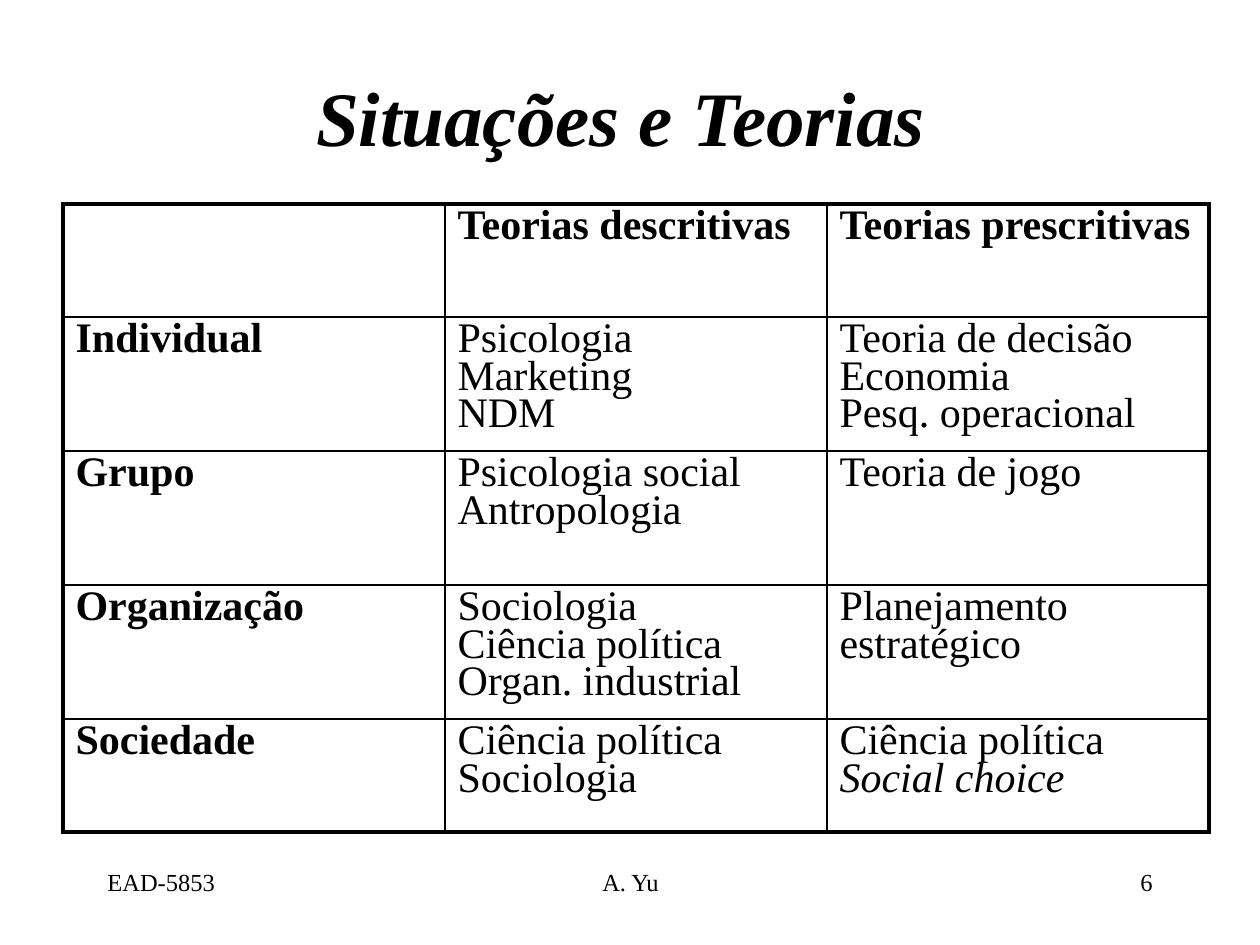
import pptx
import pptx.util
import pptx.dml.color
import pptx.enum.text
import pptx.oxml

Pt = pptx.util.Pt
ALIGN = pptx.enum.text.PP_ALIGN
ANCHOR = pptx.enum.text.MSO_ANCHOR
INK = "000000"
NS = "http://schemas.openxmlformats.org/drawingml/2006/main"


def px(n):
    """Turn pixels, 126 to the inch, into EMU."""
    return pptx.util.Emu(round(n * 914400 / 126))


def style(font, size, bold=False, italic=False):
    font.name = "Times New Roman"
    font.size = Pt(size)
    font.bold = bold
    font.italic = italic
    font.color.rgb = pptx.dml.color.RGBColor.from_string(INK)


deck = pptx.Presentation()
deck.slide_width, deck.slide_height = px(1260), px(945)
slide = deck.slides.add_slide(deck.slide_layouts[5])

# Title
title = slide.shapes.title
title.left, title.top, title.width, title.height = px(95), px(37), px(1071), px(158)
frame = title.text_frame
frame.text = "Situações e Teorias "
frame.vertical_anchor = ANCHOR.MIDDLE
frame.paragraphs[0].alignment = ALIGN.CENTER
style(frame.paragraphs[0].runs[0].font, 44, True, True)

# Footer
for text, left, width, align in [
    ("EAD-5853", 95, 262, ALIGN.LEFT),
    ("A. Yu", 431, 399, ALIGN.CENTER),
    ("6", 903, 262, ALIGN.RIGHT),
]:
    box = slide.shapes.add_textbox(px(left), px(861), px(width), px(63))
    frame = box.text_frame
    frame.word_wrap = True
    frame.text = text
    frame.paragraphs[0].alignment = align
    style(frame.paragraphs[0].runs[0].font, 14)

# Table: a newline parts the paragraphs of a cell
rows = [
    ["", "Teorias descritivas", "Teorias prescritivas"],
    ["Individual", "Psicologia\nMarketing\nNDM",
     "Teoria de decisão\nEconomia\nPesq. operacional"],
    ["Grupo", "Psicologia social\nAntropologia", "Teoria de jogo"],
    ["Organização", "Sociologia\nCiência política\nOrgan. industrial",
     "Planejamento estratégico"],
    ["Sociedade", "Ciência política\nSociologia", "Ciência política\nSocial choice"],
]
highs = [113, 134, 134, 134, 113]
wide = 382
last_row, last_col = len(rows) - 1, len(rows[0]) - 1

holder = slide.shapes.add_table(
    len(rows), len(rows[0]), px(63), px(204), px(wide * len(rows[0])), px(sum(highs)))
table = holder.table
table.first_row = False
table.horz_banding = False
for col in table.columns:
    col.width = px(wide)

for r, row in enumerate(rows):
    table.rows[r].height = px(highs[r])
    for c, text in enumerate(row):
        cell = table.cell(r, c)
        cell.text_frame.text = text
        for para in cell.text_frame.paragraphs:
            para.line_spacing = 0.8
            for run in para.runs:
                style(run.font, 24, r == 0 or c == 0, run.text == "Social choice")

        # Thick lines on the outer edge, thin lines inside
        props = cell._tc.get_or_add_tcPr()
        for side, outer in [("L", c == 0), ("R", c == last_col),
                            ("T", r == 0), ("B", r == last_row)]:
            width = Pt(2.25 if outer else 1)
            props.append(pptx.oxml.parse_xml(
                f'<a:ln{side} xmlns:a="{NS}" w="{width}"><a:solidFill>'
                f'<a:srgbClr val="{INK}"/></a:solidFill></a:ln{side}>'))
        cell.fill.background()

deck.save("out.pptx")
